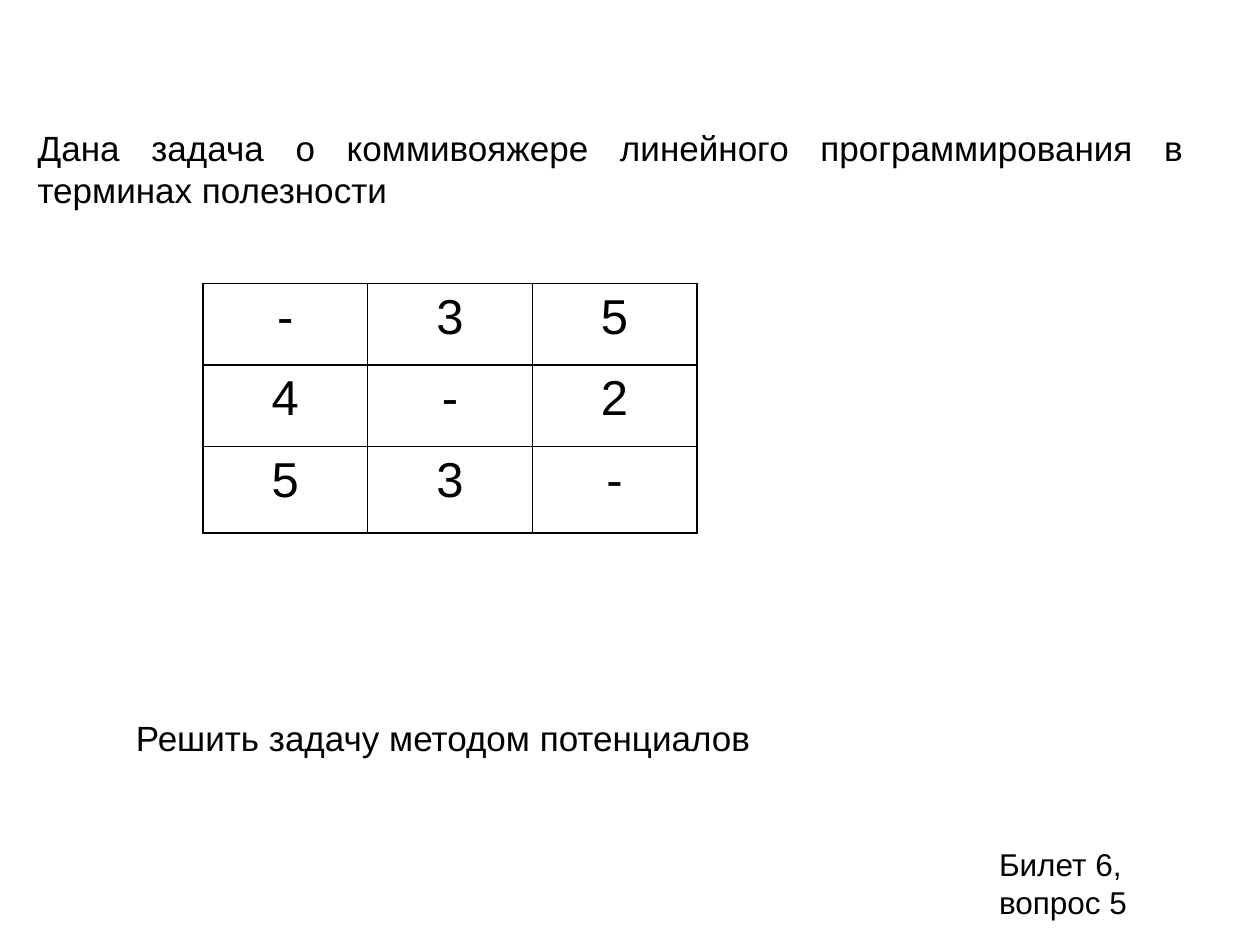
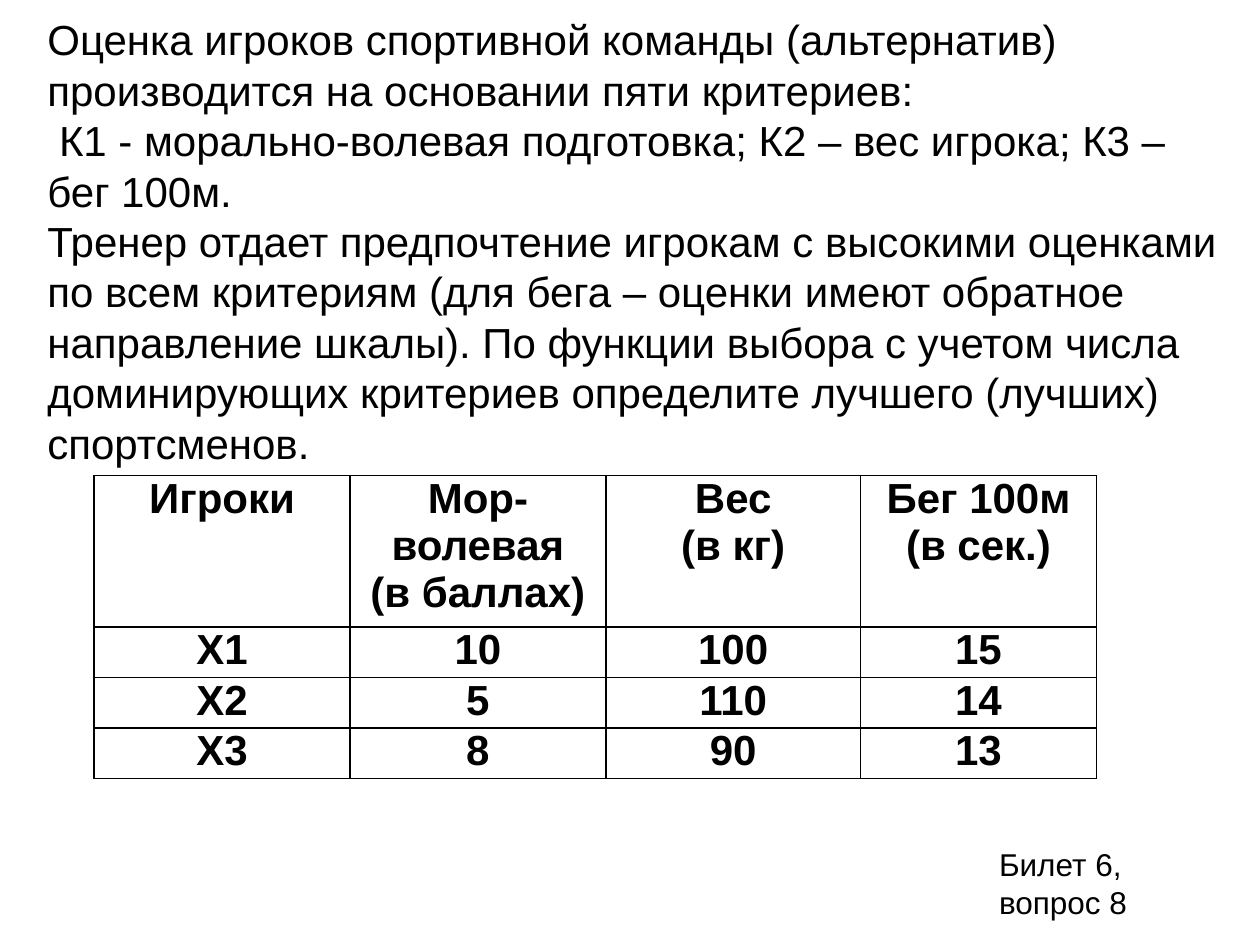
from lxml import etree
from pptx import Presentation
from pptx.dml.color import RGBColor
from pptx.enum.text import MSO_ANCHOR, PP_ALIGN
from pptx.oxml.ns import qn
from pptx.util import Pt

BLACK = RGBColor(0x00, 0x00, 0x00)
WHITE = RGBColor(0xFF, 0xFF, 0xFF)
FONT = "Arial"
LEFT, CENTER, JUSTIFY = PP_ALIGN.LEFT, PP_ALIGN.CENTER, PP_ALIGN.JUSTIFY
TOP, MIDDLE = MSO_ANCHOR.TOP, MSO_ANCHOR.MIDDLE
BLANK_LAYOUT = 6
BORDERS = ("a:lnL", "a:lnR", "a:lnT", "a:lnB")
TICKET_BOX = (563.8, 479.5, 108, 51)

UTILITIES = [["-", "3", "5"], ["4", "-", "2"], ["5", "3", "-"]]
PLAYERS = [
    ["Игроки", "Мор-волевая\n(в баллах)", "Вес\n(в кг)", "Бег 100м\n(в сек.)"],
    ["Х1", "10", "100", "15"],
    ["Х2", "5", "110", "14"],
    ["Х3", "8", "90", "13"],
]
CRITERIA = [
    "Оценка игроков спортивной команды (альтернатив) производится на основании "
    "пяти критериев:",
    "К1 - морально-волевая подготовка; К2 – вес игрока; К3 – бег 100м.",
    "Тренер отдает предпочтение игрокам с высокими оценками по всем критериям "
    "(для бега – оценки имеют обратное направление шкалы). По функции выбора с "
    "учетом числа доминирующих критериев определите лучшего (лучших) спортсменов.",
]


def write_lines(frame, lines, size, align=LEFT, bold=False):
    """Fill a text frame with one paragraph per line and return the paragraphs."""
    frame.word_wrap = True
    for number, line in enumerate(lines):
        paragraph = frame.add_paragraph() if number else frame.paragraphs[0]
        paragraph.alignment = align
        run = paragraph.add_run()
        run.text = line
        run.font.name = FONT
        run.font.size = Pt(size)
        run.font.bold = bold
        run.font.color.rgb = BLACK
    return frame.paragraphs


def add_text(slide, box, lines, size, align=LEFT, anchor=TOP):
    """Place a text box and return its paragraphs."""
    frame = slide.shapes.add_textbox(*map(Pt, box)).text_frame
    frame.vertical_anchor = anchor
    return write_lines(frame, lines, size, align)


def outline_cell(cell):
    """Draw a thin black border on every side of a cell."""
    properties = cell._tc.get_or_add_tcPr()
    for position, side in enumerate(BORDERS):
        border = etree.Element(qn(side), w=str(Pt(1)))
        fill = etree.SubElement(border, qn("a:solidFill"))
        etree.SubElement(fill, qn("a:srgbClr"), val=str(BLACK))
        properties.insert(position, border)


def add_grid(slide, origin, widths, heights, rows, size, bold=False, margins=None):
    """Place a plain bordered table with centred text."""
    box = (*origin, sum(widths), sum(heights))
    table = slide.shapes.add_table(len(rows), len(widths), *map(Pt, box)).table
    table.first_row = table.horz_banding = False
    for column, width in zip(table.columns, widths):
        column.width = Pt(width)
    for row, height, values in zip(table.rows, heights, rows):
        row.height = Pt(height)
        for cell, value in zip(row.cells, values):
            cell.fill.solid()
            cell.fill.fore_color.rgb = WHITE
            outline_cell(cell)
            if margins:
                side, edge = map(Pt, margins)
                cell.margin_left = cell.margin_right = side
                cell.margin_top = cell.margin_bottom = edge
            write_lines(cell.text_frame, value.split("\n"), size, CENTER, bold)


def add_question_slide(deck, question):
    """Add a white slide carrying its ticket and question number."""
    slide = deck.slides.add_slide(deck.slide_layouts[BLANK_LAYOUT])
    slide.background.fill.solid()
    slide.background.fill.fore_color.rgb = WHITE
    add_text(slide, TICKET_BOX, [f"Билет 6, вопрос {question}"], 18)
    return slide


def build_salesman_slide(deck):
    """Build the travelling salesman problem."""
    slide = add_question_slide(deck, 5)
    statement = ("Дана задача о коммивояжере линейного программирования "
                 "в терминах полезности")
    add_text(slide, (14.4, 68.4, 669, 55.5), [statement], 20, JUSTIFY, MIDDLE)
    add_grid(slide, (116, 162), [94.1] * 3, [46.6, 46.6, 49.4], UTILITIES, 28)
    add_text(slide, (70.6, 406, 476, 31.5), ["Решить задачу методом потенциалов"], 20)


def build_players_slide(deck):
    """Build the choice of the best players by several criteria."""
    slide = add_question_slide(deck, 8)
    paragraphs = add_text(slide, (20, 3, 692, 269), CRITERIA, 24, anchor=MIDDLE)
    paragraphs[1]._p.get_or_add_pPr().set("indent", str(Pt(6.67)))
    add_grid(slide, (53.8, 271.8), [146.2, 146.2, 145.6, 134.8],
             [80.6] + [26.8] * 3, PLAYERS, 24, bold=True, margins=(5, 0))


def main():
    """Create both slides and save the deck."""
    deck = Presentation()
    deck.slide_width, deck.slide_height = Pt(720), Pt(540)
    build_salesman_slide(deck)
    build_players_slide(deck)
    deck.save("out.pptx")


if __name__ == "__main__":
    main()
